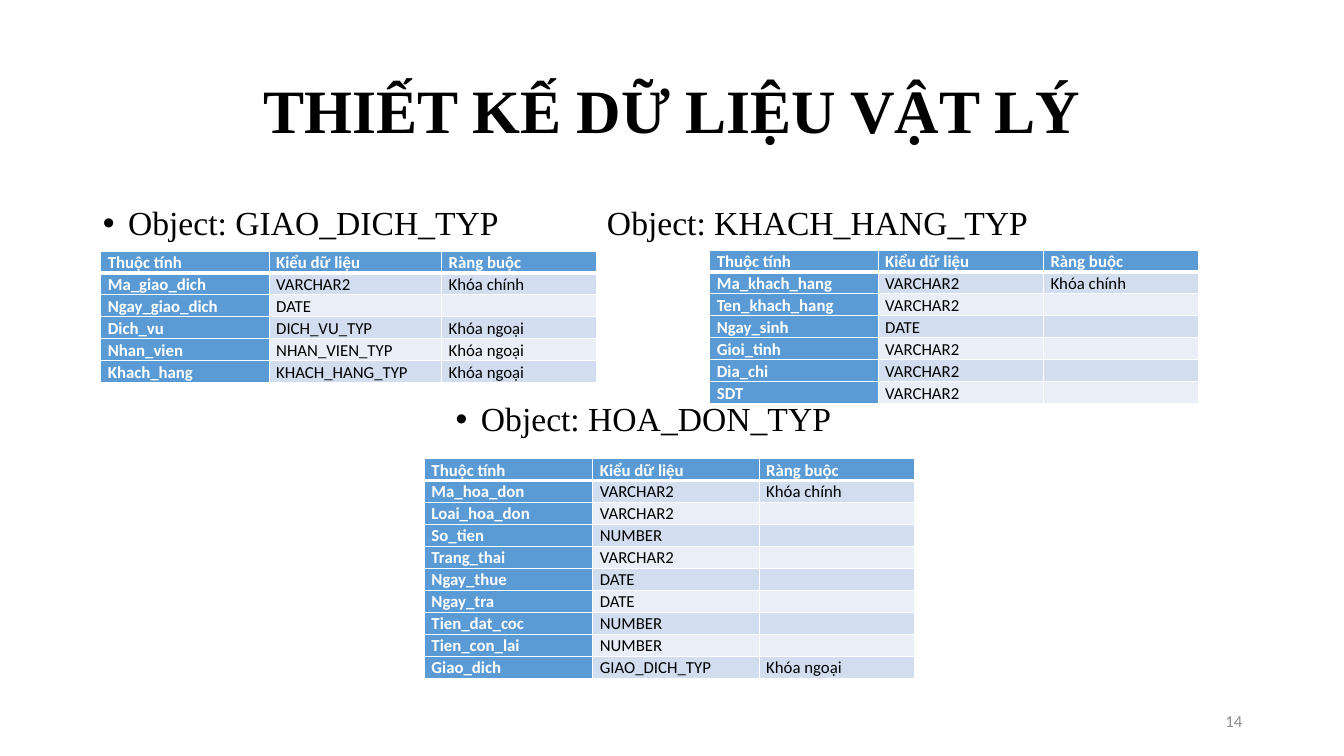
from lxml import etree
from pptx import Presentation
from pptx.dml.color import RGBColor
from pptx.enum.text import MSO_ANCHOR, MSO_AUTO_SIZE, PP_ALIGN
from pptx.oxml.ns import qn
from pptx.util import Inches, Pt

CENTER, RIGHT, JUSTIFY = PP_ALIGN.CENTER, PP_ALIGN.RIGHT, PP_ALIGN.JUSTIFY
MIDDLE = MSO_ANCHOR.MIDDLE
NO_FIT = MSO_AUTO_SIZE.NONE

BLACK = RGBColor(0x00, 0x00, 0x00)
WHITE = RGBColor(0xFF, 0xFF, 0xFF)
GRAY = RGBColor(0x8C, 0x8C, 0x8C)
BLUE = RGBColor(0x5B, 0x9B, 0xD5)
BAND_DARK = RGBColor(0xD2, 0xDE, 0xEF)
BAND_LIGHT = RGBColor(0xEA, 0xEF, 0xF7)
SERIF, SANS = "Times New Roman", "Calibri"

HEADER = ("Thuộc tính", "Kiểu dữ liệu", "Ràng buộc")
PRIMARY, FOREIGN = "Khóa chính", "Khóa ngoại"
ROW_HEIGHT = 0.2

# left, top, column widths, rows
TABLES = [
    (1, 2.49, (1.67, 1.71, 1.54), [
        ("Ma_giao_dich", "VARCHAR2", PRIMARY),
        ("Ngay_giao_dich", "DATE", ""),
        ("Dich_vu", "DICH_VU_TYP", FOREIGN),
        ("Nhan_vien", "NHAN_VIEN_TYP", FOREIGN),
        ("Khach_hang", "KHACH_HANG_TYP", FOREIGN),
    ]),
    (4.21, 4.55, (1.67, 1.65, 1.54), [
        ("Ma_hoa_don", "VARCHAR2", PRIMARY),
        ("Loai_hoa_don", "VARCHAR2", ""),
        ("So_tien", "NUMBER", ""),
        ("Trang_thai", "VARCHAR2", ""),
        ("Ngay_thue", "DATE", ""),
        ("Ngay_tra", "DATE", ""),
        ("Tien_dat_coc", "NUMBER", ""),
        ("Tien_con_lai", "NUMBER", ""),
        ("Giao_dich", "GIAO_DICH_TYP", FOREIGN),
    ]),
    (7.04, 2.48, (1.67, 1.64, 1.54), [
        ("Ma_khach_hang", "VARCHAR2", PRIMARY),
        ("Ten_khach_hang", "VARCHAR2", ""),
        ("Ngay_sinh", "DATE", ""),
        ("Gioi_tinh", "VARCHAR2", ""),
        ("Dia_chi", "VARCHAR2", ""),
        ("SDT", "VARCHAR2", ""),
    ]),
]

# text, level, left margin in inches, space before in points
HEADINGS = [
    ("Object: GIAO_DICH_TYP\t\tObject: KHACH_HANG_TYP", 0, 0.25, 10),
    ("Object: HOA_DON_TYP", 7, 3.75, 114),
]


def write(para, text, size, font=SANS, color=BLACK, bold=False, align=None, spacing=None):
    """Fill a paragraph; an empty one still takes the text size for its line height."""
    para.alignment = align
    para.line_spacing = spacing
    if not text:
        etree.SubElement(para._p, qn("a:endParaRPr"), sz=str(size * 100))
        return
    span = para.add_run()
    span.text = text
    span.font.size = Pt(size)
    span.font.name = font
    span.font.color.rgb = color
    span.font.bold = bold


def add_border(cell, side, width):
    line = etree.SubElement(cell._tc.get_or_add_tcPr(), qn(f"a:ln{side}"), w=str(Pt(width)))
    fill = etree.SubElement(line, qn("a:solidFill"))
    etree.SubElement(fill, qn("a:srgbClr"), val=str(WHITE))


deck = Presentation()
deck.slide_width, deck.slide_height = Inches(13.33), Inches(7.5)
page = deck.slides.add_slide(deck.slide_layouts[1])

title = page.shapes.title
title.left, title.top = Inches(0.92), Inches(0.4)
title.width, title.height = Inches(11.5), Inches(1.45)
title.text_frame.auto_size = NO_FIT
title.text_frame.vertical_anchor = MIDDLE
write(title.text_frame.paragraphs[0], "THIẾT KẾ DỮ LIỆU VẬT LÝ", 44,
      font=SERIF, bold=True, align=CENTER, spacing=0.9)

body = page.placeholders[1]
body.left, body.top = Inches(0.92), Inches(2)
body.width, body.height = Inches(11.5), Inches(4.76)
body.text_frame.auto_size = NO_FIT
for index, (text, level, margin, space) in enumerate(HEADINGS):
    para = body.text_frame.add_paragraph() if index else body.text_frame.paragraphs[0]
    write(para, text, 24, font=SERIF, spacing=0.9)
    para.level = level
    para.space_before = Pt(space)
    properties = para._p.get_or_add_pPr()
    properties.set("marL", str(Inches(margin)))
    properties.set("indent", str(Inches(-0.25)))
    properties.set("defTabSz", str(Inches(1)))
    etree.SubElement(properties, qn("a:buFont"), typeface="Arial")
    etree.SubElement(properties, qn("a:buChar"), char="•")

for left, top, widths, rows in TABLES:
    grid = [HEADER, *rows]
    table = page.shapes.add_table(
        len(grid), len(widths), Inches(left), Inches(top),
        Inches(sum(widths)), Inches(ROW_HEIGHT * len(grid))).table
    for column, width in zip(table.columns, widths):
        column.width = Inches(width)
    for r, values in enumerate(grid):
        table.rows[r].height = Inches(ROW_HEIGHT)
        for c, value in enumerate(values):
            cell = table.cell(r, c)
            heading = r == 0 or c == 0
            cell.margin_left = cell.margin_right = Inches(0.07)
            cell.margin_top = cell.margin_bottom = 0
            add_border(cell, "L", 1)
            add_border(cell, "R", 1)
            add_border(cell, "T", 3 if r == 1 else 1)
            add_border(cell, "B", 3 if r == 0 else 1)
            cell.fill.solid()
            cell.fill.fore_color.rgb = BLUE if heading else BAND_DARK if r % 2 else BAND_LIGHT
            write(cell.text_frame.paragraphs[0], value, 12, bold=heading,
                  color=WHITE if heading else BLACK, align=JUSTIFY, spacing=1.07)

number = page.shapes.add_textbox(Inches(9.42), Inches(6.95), Inches(3), Inches(0.4))
number.text_frame.word_wrap = True
number.text_frame.vertical_anchor = MIDDLE
write(number.text_frame.paragraphs[0], "14", 12, color=GRAY, align=RIGHT)

deck.save("out.pptx")
